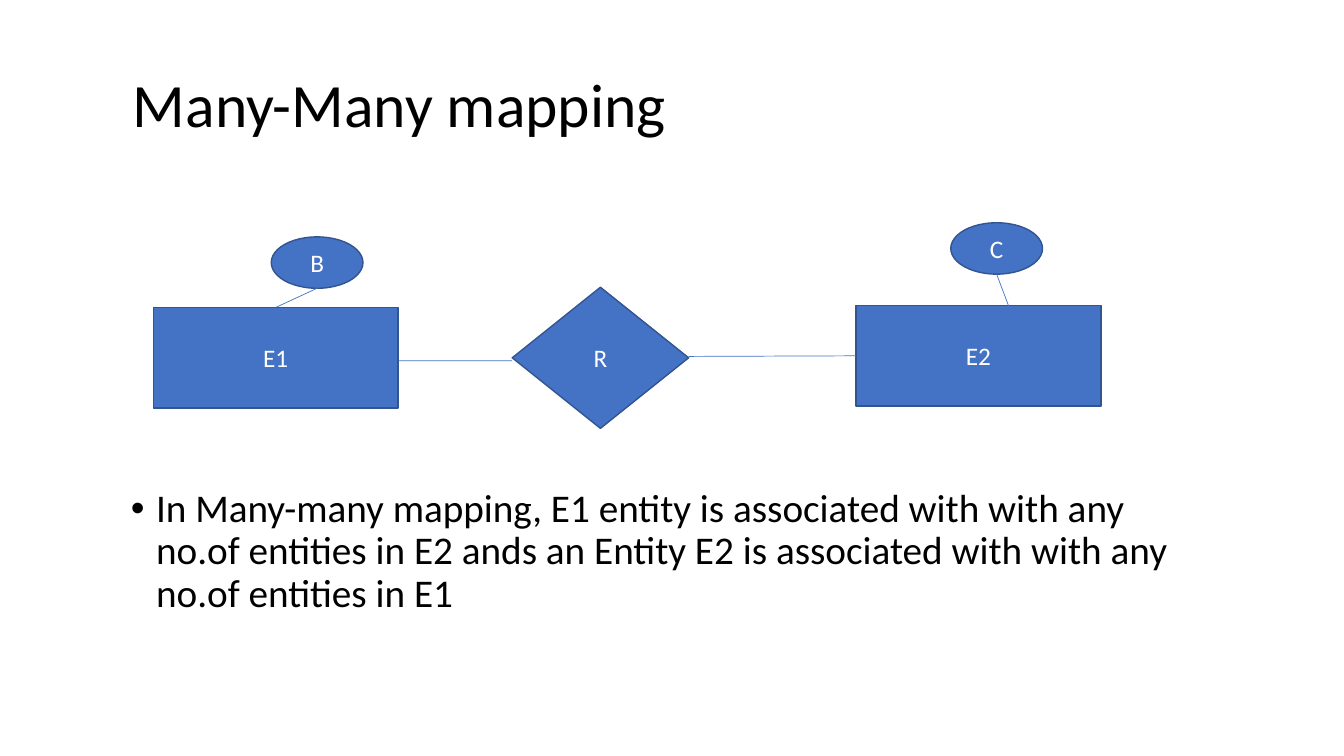
from dataclasses import dataclass

from lxml import etree
from pptx import Presentation
from pptx import util as u
from pptx.dml.color import RGBColor
from pptx.enum import shapes, text
from pptx.oxml.ns import qn

# Content: boxes are left, top, width, height in grid cells
TITLE = ("Many-Many mapping", (12.2, 4.6, 113.3, 12.1))
BODY = ("In Many-many mapping, E1 entity is associated with with any "
        "no.of entities in E2 ands an Entity E2 is associated with with any "
        "no.of entities in E1", (12, 48, 109.2, 27))
ENTITY, RELATION, ATTRIBUTE = (24.3, 10), (17.5, 14), (9.1, 5.1)
NODES = {  # name: (kind, left and top, size)
    "E1": ("RECTANGLE", (15.2, 30.5), ENTITY),
    "E2": ("RECTANGLE", (84.9, 30.3), ENTITY),
    "R": ("DIAMOND", (50.8, 28.5), RELATION),
    "B": ("OVAL", (26.9, 23.5), ATTRIBUTE),
    "C": ("OVAL", (94.3, 22.1), ATTRIBUTE),
}
LINKS = [  # (node, share across, share down) at each end
    (("E1", 1, 0.53), ("R", 0, 0.52)),
    (("R", 1, 0.49), ("E2", 0, 0.5)),
    (("B", 0.5, 1), ("E1", 0.5, 0)),
    (("C", 0.5, 1), ("E2", 0.65, 0.18)),
]


@dataclass(frozen=True)
class Theme:
    font: str = "Calibri"
    ink: str = "000000"
    fill: str = "4472C4"
    edge: str = "325491"
    on_fill: str = "FFFFFF"
    title: int = 44
    body: int = 28
    label: int = 18
    edge_width: float = 1
    link_width: float = 0.5


theme = Theme()
CELL = u.Inches(0.1)


def grid(*cells):
    return [round(c * CELL) for c in cells]


def write(sp, words, size, color=theme.ink, align=text.PP_ALIGN.LEFT,
          anchor=text.MSO_ANCHOR.MIDDLE, spacing=None, before=0, bullet=None):
    tf = sp.text_frame
    tf.word_wrap = True
    tf.vertical_anchor = anchor
    p = tf.paragraphs[0]
    p.alignment = align
    p.space_before = u.Pt(before)
    if spacing:
        p.line_spacing = spacing
    if bullet:
        pPr = p._p.get_or_add_pPr()
        indent = u.Inches(0.25)
        pPr.set("marL", str(indent))
        pPr.set("indent", str(-indent))
        etree.SubElement(pPr, qn("a:buFont")).set("typeface", "Arial")
        etree.SubElement(pPr, qn("a:buChar")).set("char", bullet)
    r = p.add_run()
    r.text = words
    r.font.name = theme.font
    r.font.size = u.Pt(size)
    r.font.color.rgb = RGBColor.from_string(color)


def add_node(s, name, kind, corner, size):
    sp = s.shapes.add_shape(shapes.MSO_SHAPE[kind], *grid(*corner, *size))
    sp.shadow.inherit = False
    sp.fill.solid()
    sp.fill.fore_color.rgb = RGBColor.from_string(theme.fill)
    sp.line.color.rgb = RGBColor.from_string(theme.edge)
    sp.line.width = u.Pt(theme.edge_width)
    write(sp, name, theme.label, color=theme.on_fill,
          align=text.PP_ALIGN.CENTER)


def anchor_point(name, across, down):
    _, (left, top), (width, height) = NODES[name]
    return grid(left + across * width, top + down * height)


def add_link(s, start, end):
    link = s.shapes.add_connector(shapes.MSO_CONNECTOR.STRAIGHT,
                                  *anchor_point(*start), *anchor_point(*end))
    link.line.color.rgb = RGBColor.from_string(theme.fill)
    link.line.width = u.Pt(theme.link_width)
    etree.SubElement(link._element.spPr, qn("a:effectLst"))


def main():
    prs = Presentation()
    prs.slide_width, prs.slide_height = u.Inches(13.33), u.Inches(7.5)
    s = prs.slides.add_slide(prs.slide_layouts[6])

    # Title and explanation
    words, box = TITLE
    write(s.shapes.add_textbox(*grid(*box)), words, theme.title, spacing=0.9)
    words, box = BODY
    write(s.shapes.add_textbox(*grid(*box)), words, theme.body, spacing=0.9,
          anchor=text.MSO_ANCHOR.TOP, before=10, bullet="•")

    # Entity-relationship diagram
    for name, node in NODES.items():
        add_node(s, name, *node)
    for start, end in LINKS:
        add_link(s, start, end)

    prs.save("out.pptx")


if __name__ == "__main__":
    main()
